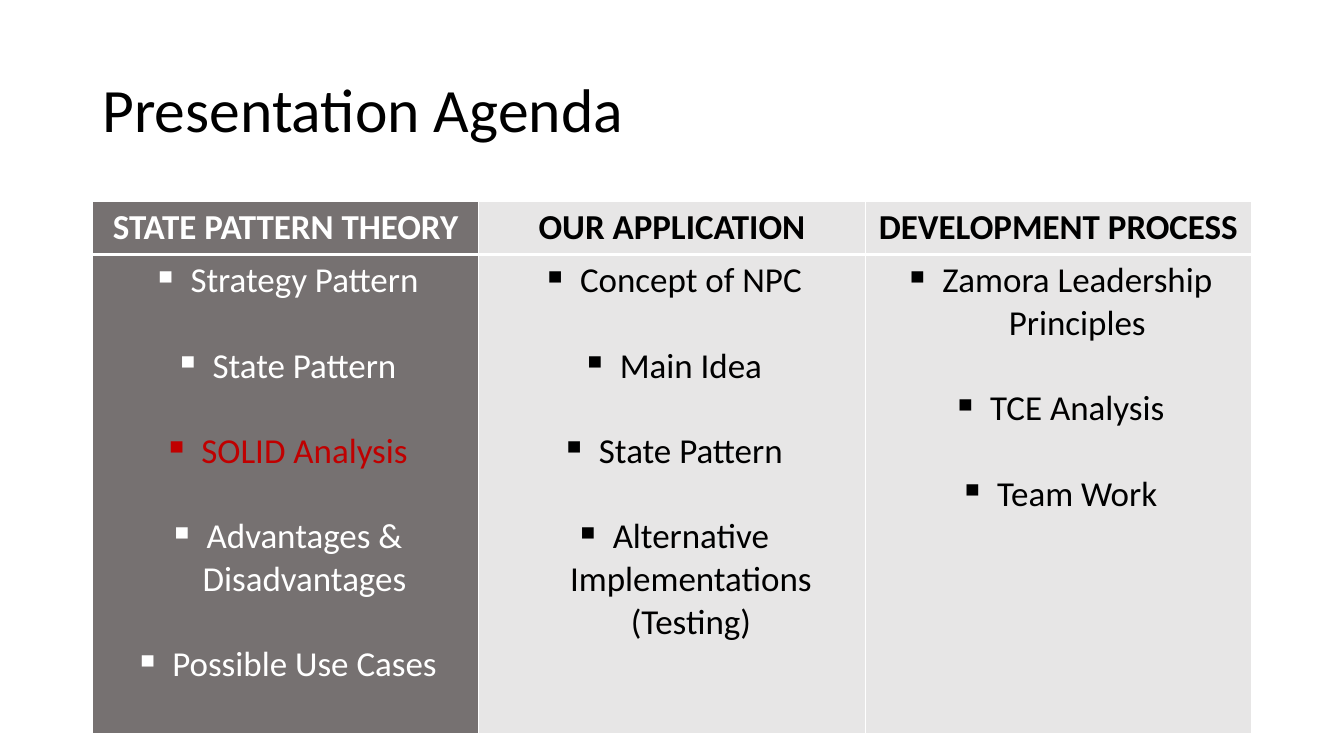
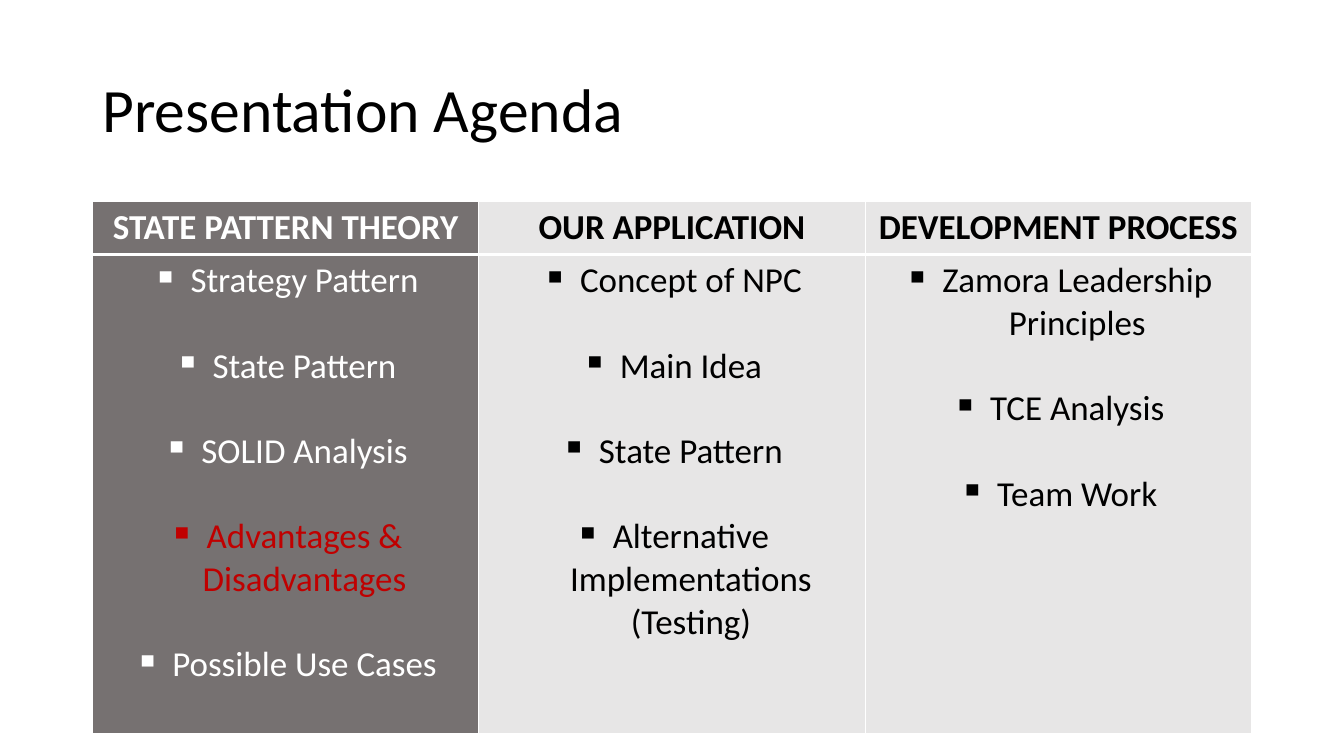
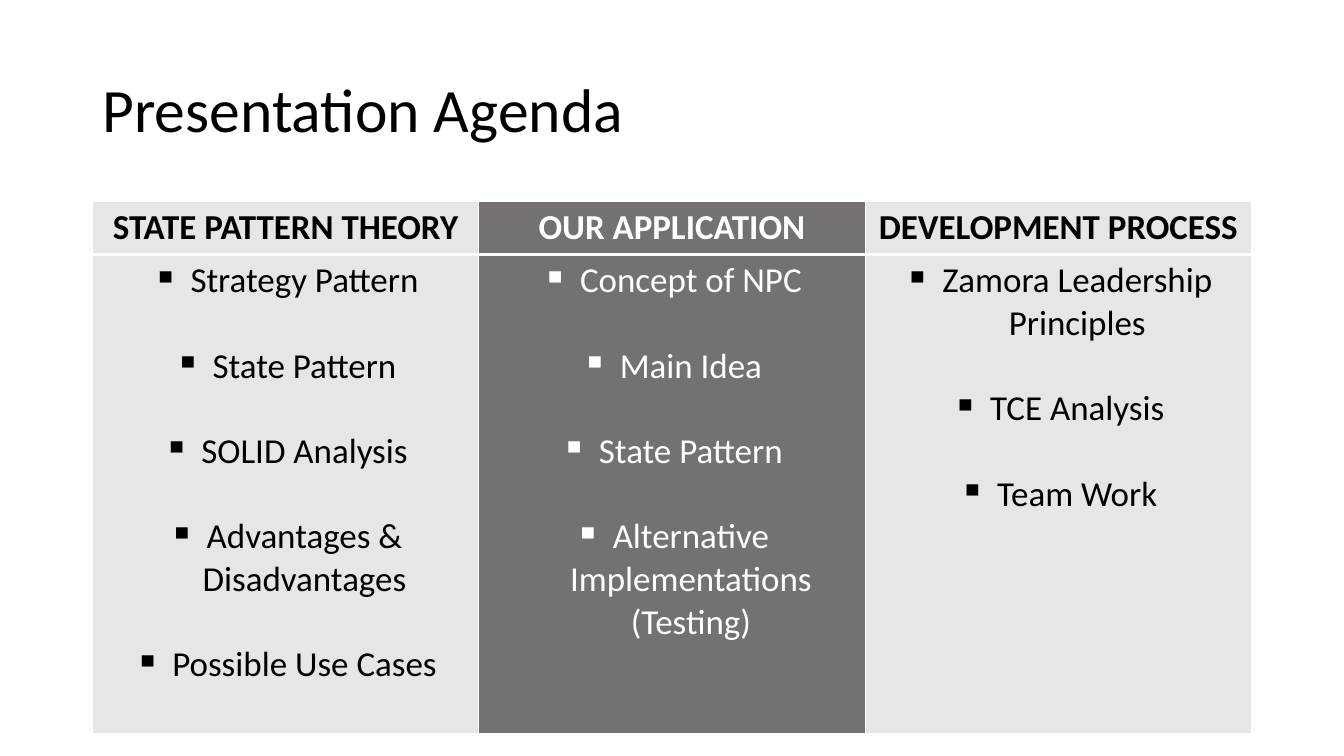
"""Build three agenda slides that highlight the current topic."""
from dataclasses import dataclass

from lxml.etree import SubElement
from pptx import Presentation
from pptx.dml.color import RGBColor
from pptx.enum.text import MSO_ANCHOR, PP_ALIGN
from pptx.oxml.ns import qn
from pptx.presentation import Presentation as Deck
from pptx.slide import Slide
from pptx.table import _Cell as Cell
from pptx.text.text import _Paragraph as Paragraph
from pptx.util import Emu, Pt

COLOURS = {
    "black": "000000",
    "white": "FFFFFF",
    "active": "767171",
    "idle": "E7E6E6",
    "current": "C00000",
}
FONT = "Calibri"
TEXT_SIZE = 25
ITEM_GAP = 30.5
COLUMN_WIDTH = 368
HEADER_HEIGHT = 50
BODY_HEIGHT = 456
INDENT = 36
THIN, THICK = 1, 3


@dataclass(frozen=True)
class Topic:
    """A column of the agenda."""
    heading: str
    items: tuple[str, ...]


@dataclass(frozen=True)
class Stage:
    """The topic, and perhaps the item, that a slide highlights."""
    heading: str
    item: str = ""


TOPICS = (
    Topic("STATE PATTERN THEORY", (
        "Strategy Pattern", "State Pattern", "SOLID Analysis",
        "Advantages & Disadvantages", "Possible Use Cases")),
    Topic("OUR APPLICATION", (
        "Concept of NPC", "Main Idea", "State Pattern",
        "Alternative Implementations (Testing)")),
    Topic("DEVELOPMENT PROCESS", (
        "Zamora Leadership Principles", "TCE Analysis", "Team Work")),
)
STAGES = (
    Stage("STATE PATTERN THEORY", "SOLID Analysis"),
    Stage("STATE PATTERN THEORY", "Advantages & Disadvantages"),
    Stage("OUR APPLICATION"),
)


def px(length: int) -> Emu:
    """Turn pixels into EMU at 96 pixels to the inch."""
    return Emu(length * 9525)


def rgb(name: str) -> RGBColor:
    """Look up a named colour."""
    return RGBColor.from_string(COLOURS[name])


def set_font(para: Paragraph, size: int, colour: str, bold: bool = False) -> None:
    """Format all text of a paragraph."""
    para.font.name = FONT
    para.font.size = Pt(size)
    para.font.bold = bold
    para.font.color.rgb = rgb(colour)


def add_bullet(para: Paragraph) -> None:
    """Give a paragraph a hanging square bullet."""
    properties = para._p.get_or_add_pPr()
    properties.set("marL", str(px(INDENT)))
    properties.set("indent", str(-px(INDENT)))
    SubElement(properties, qn("a:buChar")).set("char", "▪")


def style_cell(cell: Cell, fill: str, top: int, bottom: int) -> None:
    """Set the white borders and the fill of a cell."""
    properties = cell._tc.get_or_add_tcPr()
    for side, width in (("L", THIN), ("R", THIN), ("T", top), ("B", bottom)):
        line = SubElement(properties, qn(f"a:ln{side}"), w=str(Pt(width)))
        solid = SubElement(line, qn("a:solidFill"))
        SubElement(solid, qn("a:srgbClr"), val=COLOURS["white"])
    cell.fill.solid()
    cell.fill.fore_color.rgb = rgb(fill)


def fill_heading(cell: Cell, heading: str, colour: str) -> None:
    """Write the heading of a column."""
    para = cell.text_frame.paragraphs[0]
    para.text = heading
    para.alignment = PP_ALIGN.CENTER
    set_font(para, TEXT_SIZE, colour, bold=True)


def fill_items(cell: Cell, items: tuple[str, ...], colour: str, current: str) -> None:
    """Write the bulleted items of a column."""
    frame = cell.text_frame
    for index, item in enumerate(items):
        para = frame.add_paragraph() if index else frame.paragraphs[0]
        para.text = item
        para.alignment = PP_ALIGN.CENTER
        if index:
            para.space_before = Pt(ITEM_GAP)
        add_bullet(para)
        set_font(para, TEXT_SIZE, "current" if item == current else colour)


def add_title(page: Slide) -> None:
    """Place and format the slide title."""
    title = page.shapes.title
    title.left, title.top, title.width, title.height = map(px, (88, 38, 1104, 139))
    title.text_frame.vertical_anchor = MSO_ANCHOR.MIDDLE
    para = title.text_frame.paragraphs[0]
    para.text = "Presentation Agenda"
    para.alignment = PP_ALIGN.LEFT
    para.line_spacing = 0.9
    set_font(para, 44, "black")


def add_agenda(page: Slide, stage: Stage) -> None:
    """Draw the agenda table for one stage."""
    table = page.shapes.add_table(
        2, len(TOPICS), px(88), px(192),
        px(COLUMN_WIDTH * len(TOPICS)), px(HEADER_HEIGHT + BODY_HEIGHT)).table
    table.first_row = table.horz_banding = False
    properties = table._tbl.tblPr
    properties.remove(properties.find(qn("a:tableStyleId")))
    table.rows[0].height, table.rows[1].height = px(HEADER_HEIGHT), px(BODY_HEIGHT)
    for index, topic in enumerate(TOPICS):
        table.columns[index].width = px(COLUMN_WIDTH)
        active = topic.heading == stage.heading
        fill, colour = ("active", "white") if active else ("idle", "black")
        header, body = table.cell(0, index), table.cell(1, index)
        style_cell(header, fill, THIN, THICK)
        style_cell(body, fill, THICK, THIN)
        fill_heading(header, topic.heading, colour)
        fill_items(body, topic.items, colour, stage.item if active else "")


def add_page(deck: Deck, stage: Stage) -> None:
    """Add one agenda slide."""
    page = deck.slides.add_slide(deck.slide_layouts.get_by_name("Title Only"))
    add_title(page)
    add_agenda(page, stage)


def main() -> None:
    """Build and save the deck."""
    deck = Presentation()
    deck.slide_width, deck.slide_height = px(1280), px(720)
    for stage in STAGES:
        add_page(deck, stage)
    deck.save("out.pptx")


if __name__ == "__main__":
    main()
